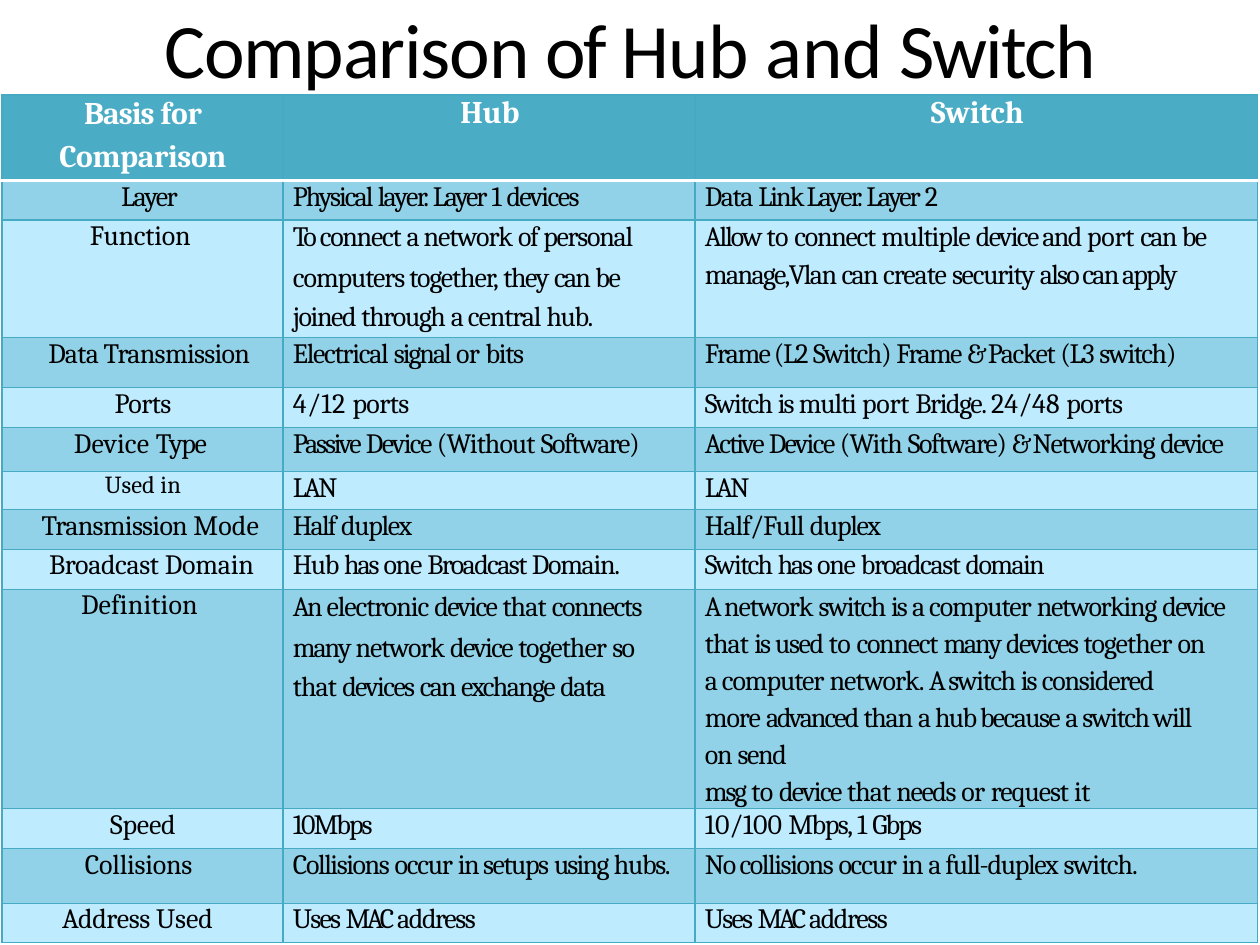
from itertools import groupby

from pptx import Presentation
from pptx import util as u
from pptx.dml.color import RGBColor
from pptx.enum import text
from pptx.oxml import parse_xml
from pptx.oxml.ns import nsdecls

PX = 914400 / 126
THEME = {
    "title_font": "Calibri", "table_font": "Cambria",
    "title_size": 44, "header_size": 18, "cell_size": 16, "small_size": 14,
    "ink": "000000", "header_ink": "FFFFFF", "header_fill": "4BACC6",
    "dark_band": "91D2E8", "light_band": "BFEBFF",
    "border": "46AAC5", "header_rule": "FFFFFF",
}
LEFT, CENTER, RIGHT = text.PP_ALIGN.LEFT, text.PP_ALIGN.CENTER, text.PP_ALIGN.RIGHT

# Letter spacing in points, by word
TITLE_TRACKING = {"Comparison": -0.7, "of": -1.6, "Hub": -0.5, "and": -0.2, "Switch": -1.1}
LABEL_TRACKING = {
    "Basis": -0.5, "for": -0.1, "Comparison": -0.2, "Hub": -0.1, "Layer": -0.9,
    "Function": -0.1, "Data": -0.4, "Transmission": -0.4, "Ports": -0.3,
    "Device": 0.1, "Type": -0.8, "in": 0.1, "Mode": 0.1, "Broadcast": -0.2,
    "Domain": -0.1, "Definition": 0.1, "Speed": -0.1, "Collisions": -0.1, "Address": -0.2,
}
BODY_GROUPS = {
    -2.6: "&", -2.1: "A", -1.9: "MAC", -1.8: "To", -1.6: "LAN", -1.4: "An", -1.3: "a",
    -1.2: "Layer Passive has many msg", -1.0: "devices. can also apply Half so Gbps using Uses",
    -1.1: "Physical Link Layer. Allow signal is Active 10Mbps advanced",
    -0.9: "layer. of device devices and manage,Vlan Frame (L2 (L3 Device Broadcast "
          "domain exchange hub because Switch",
    -0.7: "1 2 connect personal through security Electrical bits duplex one Domain. "
          "networking on considered than occur hubs. full-duplex",
    -0.6: "network computers together, central multiple create multi (With electronic "
          "computer more request switch.",
    -0.5: "(Without Half/Full that together network.",
    -0.3: "or ports it", -0.2: "to", -0.1: "port", 0: "10/100", 0.1: "24/48", 0.3: "4/12",
}
BODY_TRACKING = {word: points for points, words in BODY_GROUPS.items() for word in words.split()}

# Height, label, label alignment, label indent, hub text, switch text
ROWS = [
    (86, "Basis for\nComparison", CENTER, 1, "Hub", "Switch"),
    (39, "Layer", CENTER, 14, "Physical layer. Layer 1 devices", "Data Link Layer. Layer 2"),
    (118, "Function", LEFT, 88,
     "To connect a network of personal\n"
     "computers together, they can be joined through a central hub.",
     "Allow to connect multiple device and port can be\n"
     "manage,Vlan can create security also can apply"),
    (50, "Data Transmission", RIGHT, 33, "Electrical signal or bits",
     "Frame (L2 Switch) Frame & Packet (L3 switch)"),
    (40, "Ports", CENTER, 1, "4/12 ports", "Switch is multi port Bridge. 24/48 ports"),
    (44, "Device Type", LEFT, 72, "Passive Device (Without Software)",
     "Active Device (With Software) & Networking device"),
    (38, "Used in", CENTER, 1, "LAN", "LAN"),
    (40, "Transmission Mode", RIGHT, 24, "Half duplex", "Half/Full duplex"),
    (40, "Broadcast Domain", RIGHT, 29, "Hub has one Broadcast Domain.",
     "Switch has one broadcast domain"),
    (203, "Definition", LEFT, 79,
     "An electronic device that connects\n"
     "many network device together so that devices can exchange data",
     "A network switch is a computer networking device\n"
     "that is used to connect many devices together on a computer network. A switch is "
     "considered more advanced than a hub because a switch will on send\n"
     "msg to device that needs or request it"),
    (40, "Speed", CENTER, 1, "10Mbps", "10/100 Mbps, 1 Gbps"),
    (55, "Collisions", LEFT, 83, "Collisions occur in setups using hubs.",
     "No collisions occur in a full-duplex switch."),
    (39, "Address Used", LEFT, 60, "Uses MAC address", "Uses MAC address"),
]
COLUMN_WIDTHS = [281, 412, 563]

# Line spacing, space before and right margin of the paragraphs in multi-paragraph cells
HEADER_LINES = [(u.Pt(21.5), 0, 0), (None, 3.6, 0)]
HUB_LINES = [(u.Pt(19.1), 0, 0), (u.Pt(22.4), 0.9, 36)]
SWITCH_LINES = [(u.Pt(19.1), 0, 0), (None, 3.2, 0)]
LONG_SWITCH_LINES = [(u.Pt(19.1), 0, 0), (1.15, 0, 50), (None, 3.2, 0)]
LINE_FORMATS = {(0, 2): HEADER_LINES, (1, 2): HUB_LINES,
                (2, 2): SWITCH_LINES, (2, 3): LONG_SWITCH_LINES}


def px(length):
    return u.Emu(round(length * PX))


def write_line(paragraph, line, tracking, default, font_name, size, color, bold=False):
    """Set the paragraph font and add one run per stretch of equal letter spacing."""
    font = paragraph.font
    font.name, font.size, font.bold = font_name, u.Pt(size), bold
    font.color.rgb = RGBColor.from_string(color)
    words = line.split()
    spaced = [(word + " ", tracking.get(word, default)) for word in words[:-1]]
    spaced.append((words[-1], tracking.get(words[-1], default)))
    for points, group in groupby(spaced, key=lambda pair: pair[1]):
        run = paragraph.add_run()
        run.text = "".join(word for word, _ in group)
        run._r.get_or_add_rPr().set("spc", str(round(points * 100)))


presentation = Presentation()
presentation.slide_width, presentation.slide_height = px(1260), px(945)
slide = presentation.slides.add_slide(presentation.slide_layouts[5])

# Title
title = slide.shapes.title
title.left, title.top, title.width, title.height = px(0), px(0), px(1260), px(95)
frame = title.text_frame
frame.margin_left = frame.margin_right = frame.margin_bottom = 0
frame.margin_top = px(1)
frame.vertical_anchor = text.MSO_ANCHOR.MIDDLE
frame.auto_size = text.MSO_AUTO_SIZE.NONE
frame.paragraphs[0].alignment = CENTER
write_line(frame.paragraphs[0], "Comparison of Hub and Switch", TITLE_TRACKING, 0,
           THEME["title_font"], THEME["title_size"], THEME["ink"])

# Table grid
table = slide.shapes.add_table(len(ROWS), 3, px(2), px(95), px(sum(COLUMN_WIDTHS)),
                               px(sum(row[0] for row in ROWS))).table
for column, width in zip(table.columns, COLUMN_WIDTHS):
    column.width = px(width)

# Table cells
for row_index, (height, label, alignment, indent, hub, switch) in enumerate(ROWS):
    table.rows[row_index].height = px(height)
    header = row_index == 0
    band = "header_fill" if header else "dark_band" if row_index % 2 else "light_band"
    for column_index, content in enumerate((label, hub, switch)):
        cell = table.cell(row_index, column_index)
        cell.margin_left = cell.margin_right = cell.margin_top = cell.margin_bottom = 0
        cell.fill.solid()
        cell.fill.fore_color.rgb = RGBColor.from_string(THEME[band])

        # Borders, with a white rule under the header
        for position, side in enumerate("LRTB"):
            ruled = (side, row_index) in (("B", 0), ("T", 1))
            color, points = (THEME["header_rule"], 2) if ruled else (THEME["border"], 0.75)
            cell._tc.get_or_add_tcPr().insert(position, parse_xml(
                f'<a:ln{side} {nsdecls("a")} w="{u.Pt(points)}"><a:solidFill>'
                f'<a:srgbClr val="{color}"/></a:solidFill></a:ln{side}>'))

        # Text
        is_label = header or column_index == 0
        size = "header_size" if header else "cell_size"
        if content == "Used in":
            size = "small_size"
        lines = content.split("\n")
        formats = LINE_FORMATS.get((column_index, len(lines)), [(None, 0, 0)])
        for line_index, (line, (spacing, before, right)) in enumerate(zip(lines, formats)):
            if line_index:
                paragraph = cell.text_frame.add_paragraph()
            else:
                paragraph = cell.text_frame.paragraphs[0]
            paragraph.alignment = alignment if column_index == 0 else CENTER if header else LEFT
            paragraph.line_spacing = spacing
            if before:
                paragraph.space_before = u.Pt(before)
            properties = paragraph._p.get_or_add_pPr()
            if column_index == 0 and alignment == RIGHT:
                properties.set("marR", str(px(indent)))
            else:
                left = indent if column_index == 0 else 2 if header else 10
                properties.set("marL", str(px(left)))
                properties.set("marR", str(px(right)))
            write_line(paragraph, line, LABEL_TRACKING if is_label else BODY_TRACKING,
                       0 if is_label else -0.8, THEME["table_font"], THEME[size],
                       THEME["header_ink" if header else "ink"], header)

presentation.save("out.pptx")
